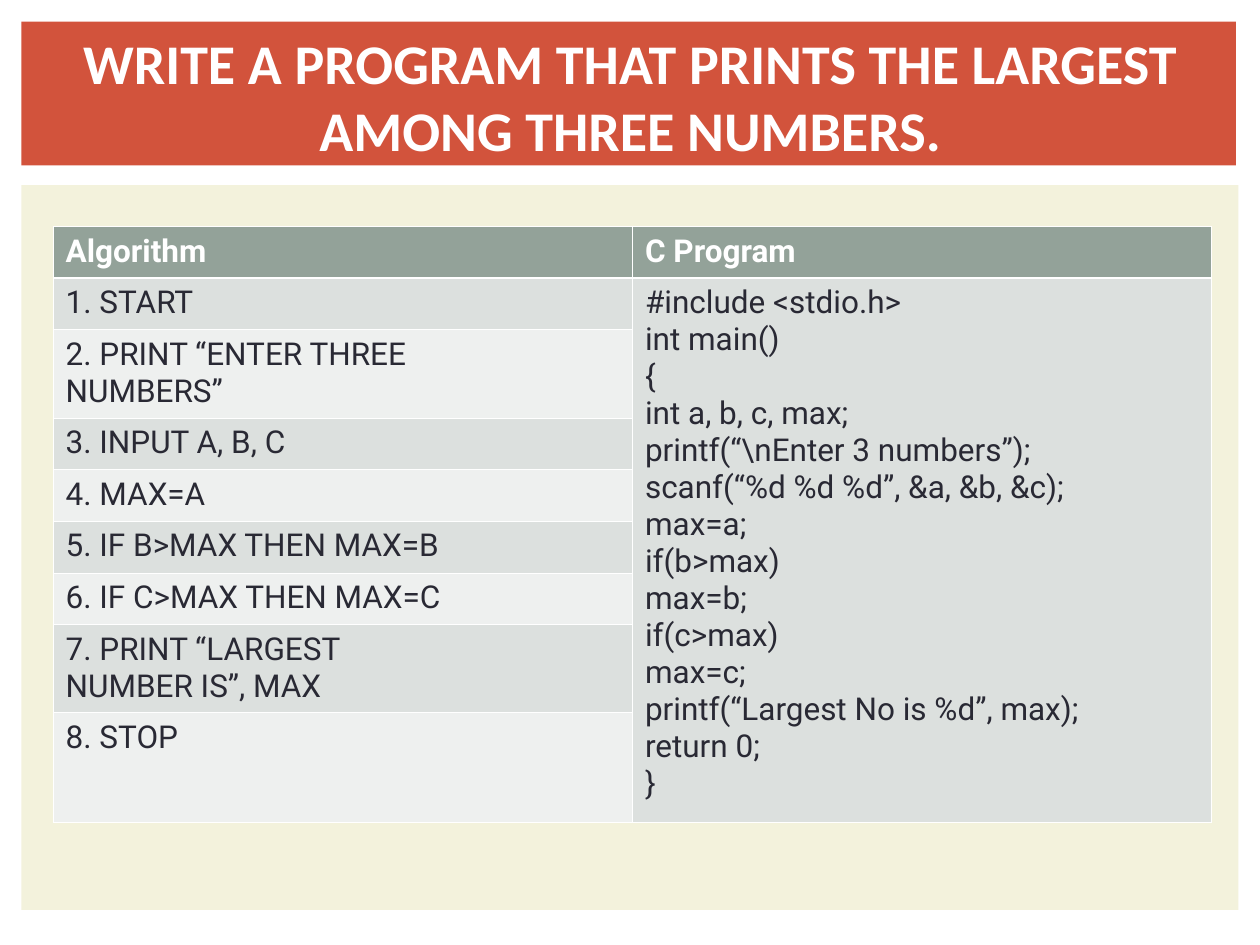
from lxml import etree
from pptx import Presentation, util as u
from pptx.dml.color import RGBColor
from pptx.enum import shapes, text
from pptx.oxml import ns

W, H = u.Inches(10), u.Inches(7.5)
WHITE, INK, RED, CREAM = "FFFFFF", "292934", "D2533C", "F3F2DC"
HEAD, BANDS = "93A299", ("EEF0EF", "DCE0DE")
ROW, TALL, LAST = 0.41, 0.7, 0.87
TITLE = "WRITE A PROGRAM THAT PRINTS THE LARGEST AMONG THREE NUMBERS."
STEPS = [
    ["1. START"],
    ["2. PRINT “ENTER THREE", "NUMBERS”"],
    ["3. INPUT A, B, C"],
    ["4. MAX=A"],
    ["5. IF B>MAX THEN MAX=B"],
    ["6. IF C>MAX THEN MAX=C"],
    ["7. PRINT “LARGEST", "NUMBER IS”, MAX"],
    ["8. STOP"],
]
CODE = [
    "#include <stdio.h>",
    "int main()",
    "{",
    "int a, b, c, max;",
    "printf(“\\nEnter 3 numbers”);",
    "scanf(“%d %d %d”, &a, &b, &c);",
    "max=a;",
    "if(b>max)",
    "max=b;",
    "if(c>max)",
    "max=c;",
    "printf(“Largest No is %d”, max);",
    "return 0;",
    "}",
]


def rgb(value):
    """Turn a hex string into a colour."""
    return RGBColor.from_string(value)


def inner(box, x, y, w, h):
    """Return the part of a box given by shares of its size."""
    left, top, width, height = box
    return (int(left + x * width), int(top + y * height),
            int(w * width), int(h * height))


def write(tf, lines, font, size, color, bold=False, align=None):
    """Write lines as paragraphs of one run each."""
    for i, line in enumerate(lines):
        p = tf.paragraphs[0] if i == 0 else tf.add_paragraph()
        p.alignment = align
        r = p.add_run()
        r.text = line
        r.font.name, r.font.size, r.font.bold = font, u.Pt(size), bold
        r.font.color.rgb = rgb(color)


def add_panel(s, box, color):
    """Place a plain filled rectangle."""
    sp = s.shapes.add_shape(shapes.MSO_SHAPE.RECTANGLE, *box)
    sp.shadow.inherit = False
    sp.fill.solid()
    sp.fill.fore_color.rgb = rgb(color)
    sp.line.fill.background()


def add_heading(s, box):
    """Place the title band and its centred text."""
    add_panel(s, box, RED)
    tf = s.shapes.add_textbox(*inner(box, 0.026, 0.035, 0.951, 0.965)).text_frame
    tf.word_wrap = True
    tf.vertical_anchor = text.MSO_ANCHOR.MIDDLE
    write(tf, [TITLE], "Calibri", 32, WHITE, True, text.PP_ALIGN.CENTER)


def add_border(cell, side, width):
    """Draw one white cell edge."""
    ln = etree.SubElement(cell._tc.get_or_add_tcPr(), ns.qn("a:ln" + side),
                          w=str(u.Pt(width)))
    fill = etree.SubElement(ln, ns.qn("a:solidFill"))
    etree.SubElement(fill, ns.qn("a:srgbClr"), val=WHITE)


def fill_cell(cell, row, lines):
    """Style one cell by its row and write its lines."""
    heavy = {0: "B", 1: "T"}.get(row)
    for side in "LRTB":
        add_border(cell, side, 1.47 if side == heavy else 0.45)
    cell.fill.solid()
    cell.fill.fore_color.rgb = rgb(BANDS[row % 2] if row else HEAD)
    write(cell.text_frame, lines, "Roboto", 18, INK if row else WHITE, row == 0)


def add_comparison(s, box):
    """Place the panel with the algorithm beside its program."""
    add_panel(s, box, CREAM)
    rows = [(["Algorithm"], ["C Program"])]
    rows += [(step, CODE if i == 0 else []) for i, step in enumerate(STEPS)]
    heights = [TALL if len(step) > 1 else ROW for step, _ in rows]
    heights[-1] = LAST
    area = inner(box, 0.026, 0.057, 0.952, 0.819)
    table = s.shapes.add_table(len(rows), 2, *area).table
    for row, height in enumerate(heights):
        table.rows[row].height = u.Inches(height)
        for col, lines in enumerate(rows[row]):
            fill_cell(table.cell(row, col), row, lines)
    table.cell(1, 1).merge(table.cell(len(STEPS), 1))


def main():
    """Build and save the slide."""
    prs = Presentation()
    prs.slide_width, prs.slide_height = W, H
    s = prs.slides.add_slide(prs.slide_layouts[6])
    page = (0, 0, W, H)
    add_comparison(s, inner(page, 0.017, 0.196, 0.966, 0.767))
    add_heading(s, inner(page, 0.017, 0.023, 0.964, 0.152))
    prs.save("out.pptx")


if __name__ == "__main__":
    main()
